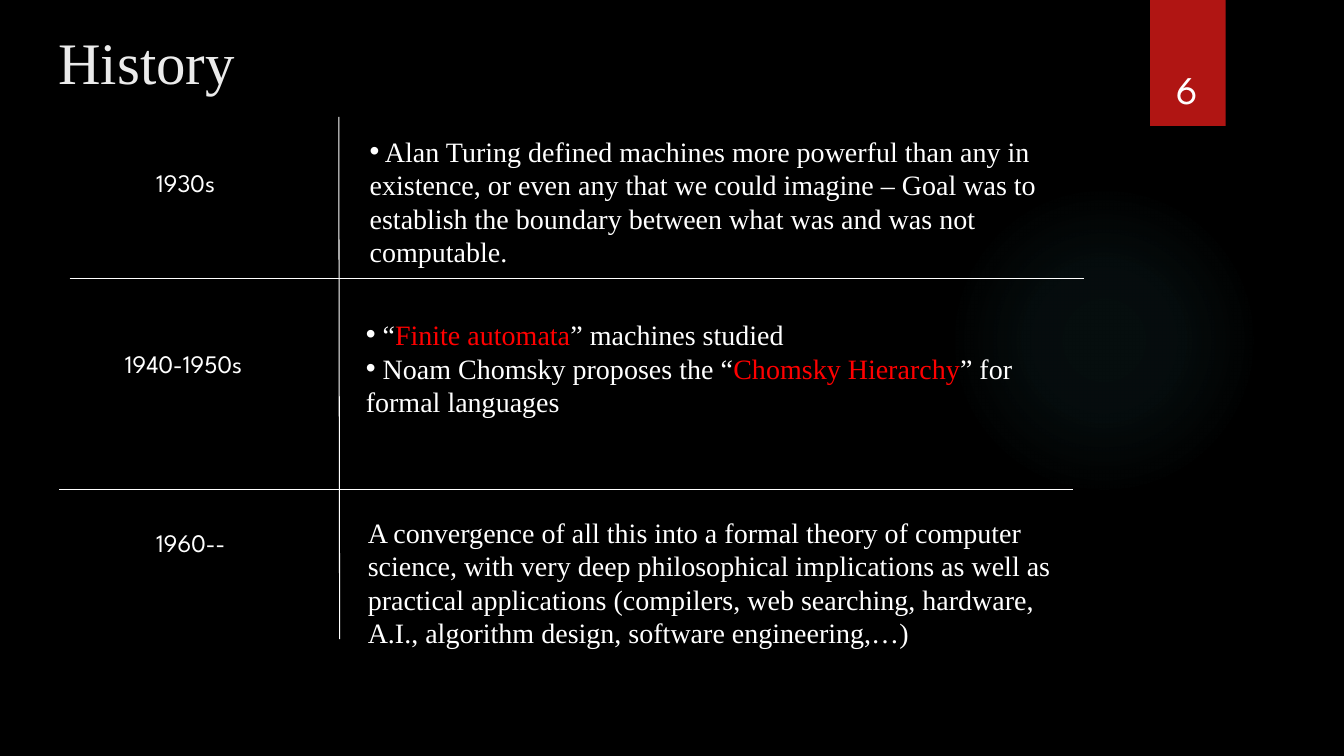
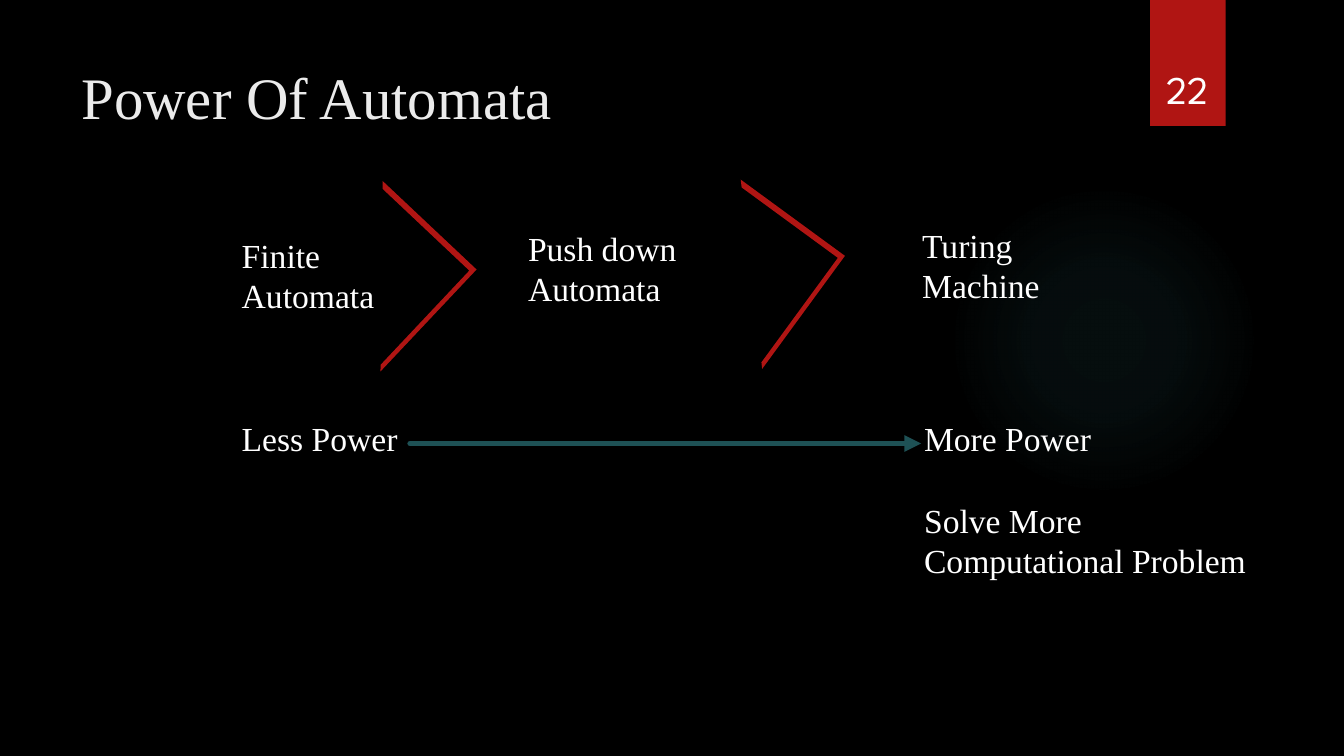
from dataclasses import dataclass
from typing import Any

from lxml import etree
from pptx import Presentation
from pptx.dml.color import RGBColor
from pptx.enum import shapes, text
from pptx.oxml import ns, parse_xml
from pptx.util import Pt

# Shared style
BLACK, WHITE, PALE = "000000", "FFFFFF", "EBEBEB"
RED, BRIGHT, TEAL, GLOW = "B01513", "FF0000", "1E5155", "50B9C1"
SERIF, SANS = "Times New Roman", "League Spartan"
LEAD = 1.2


@dataclass
class Note:
    """Text box; lines split paragraphs, asterisks enclose red words."""
    words: str
    x: float
    y: float
    w: float
    h: float
    size: float = 24
    font: str = SERIF
    hue: str = WHITE
    lead: float | None = LEAD
    bullet: bool = False
    anchor: Any = text.MSO_ANCHOR.TOP
    align: Any = text.PP_ALIGN.LEFT


@dataclass
class Rule:
    x1: float
    y1: float
    x2: float
    y2: float
    hue: str = WHITE
    width: float = 0.75
    arrow: bool = False


@dataclass
class Angle:
    x: float
    y: float
    turn: float


def paint(hue: str) -> RGBColor:
    return RGBColor.from_string(hue)


def apply(item: Any, values: dict[str, Any]) -> None:
    for key, value in values.items():
        setattr(item, key, value)


def fill(shape: Any, hue: str) -> None:
    shape.fill.solid()
    shape.fill.fore_color.rgb = paint(hue)


def block(slide: Any, kind: Any, x: float, y: float, w: float, h: float) -> Any:
    shape = slide.shapes.add_shape(kind, Pt(x), Pt(y), Pt(w), Pt(h))
    shape.shadow.inherit = False
    shape.line.fill.background()
    return shape


def write(slide: Any, note: Note) -> None:
    box = slide.shapes.add_textbox(Pt(note.x), Pt(note.y), Pt(note.w), Pt(note.h))
    frame = box.text_frame
    apply(frame, {"word_wrap": True, "vertical_anchor": note.anchor})
    for n, line in enumerate(note.words.split("\n")):
        para = frame.add_paragraph() if n else frame.paragraphs[0]
        para.alignment = note.align
        if note.lead:
            para.line_spacing = Pt(note.size * note.lead)
        if note.bullet:
            props = para._p.get_or_add_pPr()
            props.set("marL", "0")
            props.set("indent", "0")
            etree.SubElement(props, ns.qn("a:buFont"), typeface="Arial")
            etree.SubElement(props, ns.qn("a:buChar"), char="•")
        for k, part in enumerate(line.split("*")):
            run = para.add_run()
            run.text = part
            apply(run.font, {"name": note.font, "size": Pt(note.size)})
            run.font.color.rgb = paint(BRIGHT if k % 2 else note.hue)


def draw(slide: Any, rule: Rule) -> None:
    link = slide.shapes.add_connector(
        shapes.MSO_CONNECTOR.STRAIGHT,
        Pt(rule.x1), Pt(rule.y1), Pt(rule.x2), Pt(rule.y2))
    link.line.width = Pt(rule.width)
    link.line.color.rgb = paint(rule.hue)
    if rule.arrow:
        line = link.line._get_or_add_ln()
        line.set("cap", "rnd")
        etree.SubElement(line, ns.qn("a:tailEnd"), type="triangle")
    etree.SubElement(link._element.spPr, ns.qn("a:effectLst"))


def bend(slide: Any, angle: Angle) -> None:
    shape = block(slide, shapes.MSO_SHAPE.HALF_FRAME, angle.x, angle.y, 100.1, 92.2)
    shape.rotation = angle.turn
    for n, value in enumerate((0.035, 0.045)):
        shape.adjustments[n] = value
    fill(shape, RED)


def glow(slide: Any) -> None:
    shape = block(slide, shapes.MSO_SHAPE.OVAL, 677.5, 131.8, 221.8, 221.8)
    stops = "".join(
        f'<a:gs pos="{pos}000"><a:srgbClr val="{GLOW}">'
        f'<a:alpha val="{alpha}000"/></a:srgbClr></a:gs>'
        for pos, alpha in ((0, 7), (36, 6), (69, 0)))
    grad = parse_xml(
        f'<a:gradFill {ns.nsdecls("a")}><a:gsLst>{stops}</a:gsLst>'
        '<a:path path="circle"><a:fillToRect l="50000" t="50000" '
        'r="50000" b="50000"/></a:path></a:gradFill>')
    shape._element.spPr.find(ns.qn("a:prstGeom")).addnext(grad)


def start(deck: Any, title: str, x: float, y: float, number: int) -> Any:
    slide = deck.slides.add_slide(deck.slide_layouts[6])
    fill(slide.background, BLACK)
    glow(slide)
    fill(block(slide, shapes.MSO_SHAPE.RECTANGLE, 821.5, 0, 54, 90), RED)
    low = text.MSO_ANCHOR.BOTTOM
    write(slide, Note(title, x, y, 741, 61, 42, hue=PALE, lead=None, anchor=low))
    write(slide, Note(str(number), 815, 23, 66.2, 60.5, 28, SANS, lead=None,
                      anchor=low, align=text.PP_ALIGN.CENTER))
    return slide


# History: dates on the left, events on the right
DATES = [
    ("1930s", 104.4, 115.9),
    ("1940-1950s", 82.1, 245.5),
    ("1960--", 104.4, 373),
]
EVENTS = [
    Note(" Alan Turing defined machines more powerful than any in existence, "
         "or even any that we could imagine – Goal was to establish the boundary "
         "between what was and was not computable.",
         257, 92.2, 530.6, 111, 20, bullet=True),
    Note(" “*Finite automata*” machines studied\n"
         " Noam Chomsky proposes the “*Chomsky Hierarchy*” for formal languages",
         254.2, 223.2, 510.5, 85, 20, bullet=True),
    Note("A convergence of all this into a formal theory of computer science, "
         "with very deep philosophical implications as well as practical "
         "applications (compilers, web searching, hardware, A.I., algorithm "
         "design, software engineering,…)",
         255.6, 364.3, 517.7, 104.4, 20),
]
RULES = [
    Rule(49.7, 198.7, 774, 198.7),
    Rule(42.5, 349.9, 766.1, 349.9),
    Rule(242, 83.5, 242.6, 456.5),
]

# Power of automata: three models and a scale
MODELS = [
    Note("Finite\nAutomata", 165.6, 164.2, 183, 65.5),
    Note("Push down\nAutomata", 370.1, 159.1, 183, 65.5),
    Note("Turing Machine", 651.6, 157, 109.4, 65.5),
    Note("Less Power", 165.6, 295.2, 183, 36),
    Note("More Power", 653, 295.2, 183, 36),
    Note("Solve More\nComputational Problem", 653, 353.5, 267.8, 65.5),
]
ANGLES = [Angle(222.5, 151.2, 133.3), Angle(486.7, 149.8, 126.2)]
SCALE = Rule(293, 316.8, 658, 316.8, TEAL, 4, True)


def main() -> None:
    deck = Presentation()
    apply(deck, {"slide_width": Pt(960), "slide_height": Pt(540)})

    slide = start(deck, "History", 34.6, 11.5, 6)
    for date, x, y in DATES:
        write(slide, Note(date, x, y, 120, 36, 18, SANS, lead=None))
    for event in EVENTS:
        write(slide, event)
    for rule in RULES:
        draw(slide, rule)

    slide = start(deck, "Power Of Automata", 51.1, 36, 22)
    for model in MODELS:
        write(slide, model)
    for angle in ANGLES:
        bend(slide, angle)
    draw(slide, SCALE)

    deck.save("out.pptx")


if __name__ == "__main__":
    main()
